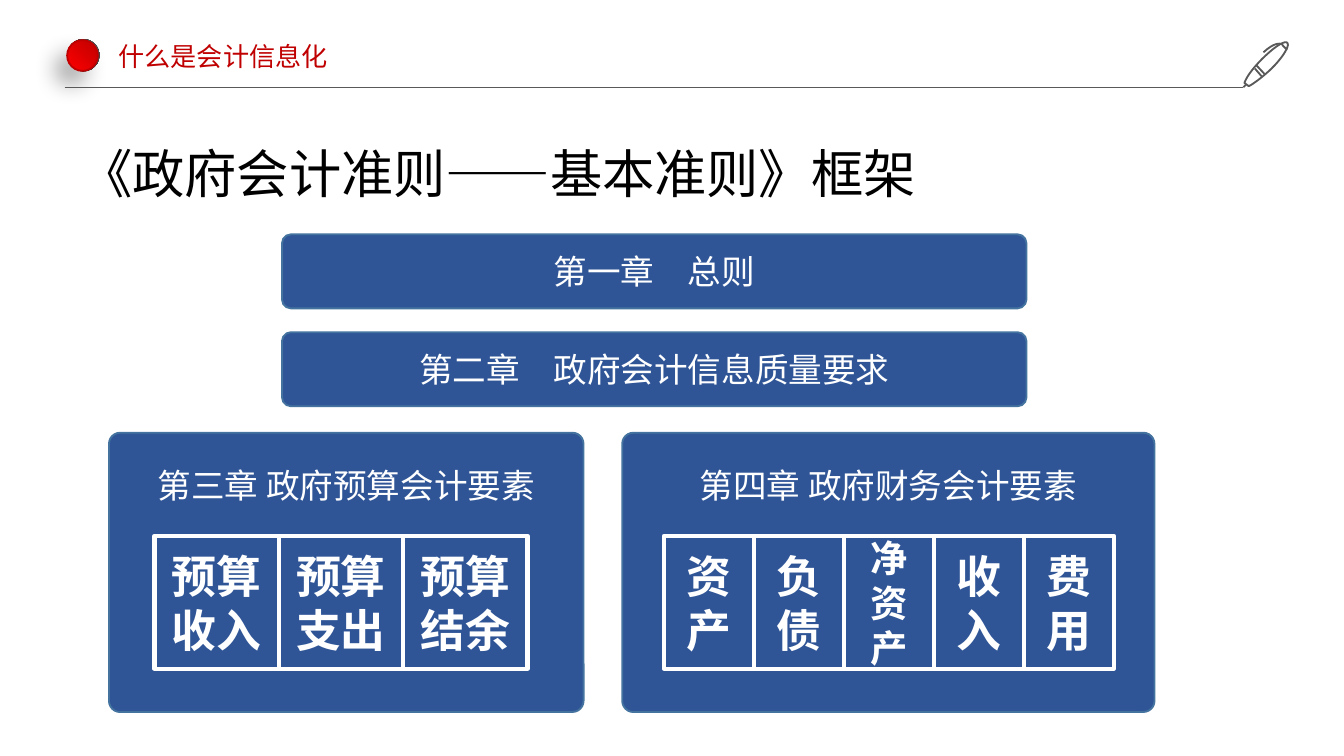
from lxml import etree
from pptx import Presentation
from pptx.dml.color import RGBColor
from pptx.enum.shapes import MSO_CONNECTOR, MSO_SHAPE
from pptx.enum.text import MSO_ANCHOR, PP_ALIGN
from pptx.oxml import parse_xml
from pptx.oxml.ns import qn
from pptx.util import Cm, Pt

ELLIPSE, RECTANGLE = MSO_SHAPE.OVAL, MSO_SHAPE.RECTANGLE
ROUNDED = MSO_SHAPE.ROUNDED_RECTANGLE
STRAIGHT = MSO_CONNECTOR.STRAIGHT
LEFT, CENTER = PP_ALIGN.LEFT, PP_ALIGN.CENTER
TOP, MIDDLE = MSO_ANCHOR.TOP, MSO_ANCHOR.MIDDLE

FONT = "Noto Sans CJK SC"
NAMESPACE = 'xmlns:a="http://schemas.openxmlformats.org/drawingml/2006/main"'
COLORS = {
    "blue": "2F5597", "edge": "43739E", "white": "FFFFFF", "black": "000000",
    "gray": "595959", "dark": "262626", "crimson": "C00000", "red": "FF0000",
}


def write_text(shape, text, size=18, color="white", bold=False, align=CENTER,
               anchor=MIDDLE, wrap=True, top=0.13):
    frame = shape.text_frame
    frame.word_wrap = wrap
    frame.vertical_anchor = anchor
    frame.margin_top = Cm(top)
    paragraph = frame.paragraphs[0]
    paragraph.alignment = align
    run = paragraph.add_run()
    run.text = text
    run.font.name = FONT
    run.font.size = Pt(size)
    run.font.bold = bold
    run.font.color.rgb = RGBColor.from_string(COLORS[color])
    east_asian = etree.SubElement(run.font._element, qn("a:ea"))
    east_asian.set("typeface", FONT)


def add_box(kind, left, top, width, height, line="edge", weight=1, corner=None):
    box = slide.shapes.add_shape(kind, Cm(left), Cm(top), Cm(width), Cm(height))
    box.shadow.inherit = False
    box.fill.solid()
    box.fill.fore_color.rgb = RGBColor.from_string(COLORS["blue"])
    box.line.color.rgb = RGBColor.from_string(COLORS[line])
    box.line.width = Pt(weight)
    if corner is not None:
        box.adjustments[0] = corner
    return box


presentation = Presentation()
presentation.slide_width, presentation.slide_height = Cm(25.4), Cm(14.29)
slide = presentation.slides.add_slide(presentation.slide_layouts[6])

# Header: red button on a shaded disc
button = slide.shapes.add_group_shape()
for left, top, diameter, start, end in (
    (1.27, 0.74, 0.61, "gray", "dark"),
    (1.27, 0.76, 0.58, "crimson", "red"),
):
    disc = button.shapes.add_shape(
        ELLIPSE, Cm(left), Cm(top), Cm(diameter), Cm(diameter))
    disc.shadow.inherit = False
    disc.fill.gradient()
    for stop, color in zip(disc.fill.gradient_stops, (start, end)):
        stop.color.rgb = RGBColor.from_string(COLORS[color])
    linear = disc._element.spPr.find(".//" + qn("a:lin"))
    linear.getparent().replace(linear, parse_xml(
        f'<a:path {NAMESPACE} path="circle">'
        '<a:fillToRect l="100000" b="100000"/></a:path>'))
    if start == "gray":
        disc.line.fill.background()
        disc._element.spPr.find(qn("a:effectLst")).append(parse_xml(
            f'<a:outerShdw {NAMESPACE} blurRad="{Pt(12)}" dist="{Pt(10)}" '
            'dir="7800000" algn="ctr" rotWithShape="0">'
            f'<a:srgbClr val="{COLORS["black"]}"><a:alpha val="32000"/>'
            '</a:srgbClr></a:outerShdw>'))
    else:
        disc.line.color.rgb = RGBColor.from_string(COLORS["crimson"])
        disc.line.width = Pt(1)

header = slide.shapes.add_textbox(Cm(2.06), Cm(0.66), Cm(4.37), Cm(0.79))
header.text_frame.margin_left = header.text_frame.margin_right = Cm(0.18)
write_text(header, "什么是会计信息化", size=14, color="crimson", align=LEFT,
           anchor=TOP, wrap=False, top=0.1)

rule = slide.shapes.add_connector(STRAIGHT, Cm(1.22), Cm(1.66), Cm(23.5), Cm(1.66))
rule.line.color.rgb = RGBColor.from_string(COLORS["gray"])
rule.line.width = Pt(0.5)
etree.SubElement(rule._element.spPr, qn("a:effectLst"))

# Pen: each stroke is a start point followed by cubic curves or straight segments
pen_strokes = [
    [(23.5, 1.65), [(23.55, 1.6)]],
    [(23.85, 1.45), [(23.72, 1.3)]],
    [(23.75, 1.24), [(23.9, 1.4)]],
    [(24.33, 0.81),
     [(24.28, 0.76), (24.08, 0.89), (23.85, 1.12)],
     [(23.67, 1.3), (23.55, 1.47), (23.52, 1.57)],
     [(23.6, 1.63)],
     [(23.67, 1.6), (23.85, 1.47), (24.03, 1.3)],
     [(24.26, 1.07), (24.38, 0.86), (24.33, 0.81)]],
    [(24.33, 0.94),
     [(24.33, 0.94), (24.26, 0.89), (24.23, 0.84)],
     [(24.23, 0.84), (24.13, 0.76), (23.88, 0.99)]],
]
STEPS = 10
pen = None
for start, *segments in pen_strokes:
    points = [start]
    for segment in segments:
        if len(segment) == 1:
            points += segment
            continue
        controls = [points[-1], *segment]
        for step in range(1, STEPS + 1):
            t = step / STEPS
            weights = ((1 - t) ** 3, 3 * t * (1 - t) ** 2, 3 * t * t * (1 - t), t ** 3)
            points.append(tuple(
                sum(weight * point[axis] for weight, point in zip(weights, controls))
                for axis in (0, 1)))
    vertices = [(Cm(x), Cm(y)) for x, y in points]
    if pen is None:
        pen = slide.shapes.build_freeform(*vertices[0])
    else:
        pen.move_to(*vertices[0])
    pen.add_line_segments(vertices[1:], close=False)
pen_shape = pen.convert_to_shape()
pen_shape.shadow.inherit = False
pen_shape.fill.background()
pen_shape.line.color.rgb = RGBColor.from_string(COLORS["gray"])
pen_shape.line.width = Pt(1)

title = slide.shapes.add_textbox(Cm(1.27), Cm(2.54), Cm(19.02), Cm(1.45))
write_text(title, "《政府会计准则——基本准则》框架", size=28, color="black",
           align=LEFT, anchor=TOP)

# Chapters across the full framework
for row, chapter in enumerate(("第一章　总则", "第二章　政府会计信息质量要求")):
    bar = add_box(ROUNDED, 5.33, 4.43 + row * 1.85, 14.07, 1.4, corner=0.12)
    write_text(bar, chapter)

# Chapters with their accounting elements
panels = [
    ("第三章 政府预算会计要素", 2.06, 8.97, 2.92, 2.35,
     ("预算收入", "预算支出", "预算结余")),
    ("第四章 政府财务会计要素", 11.76, 10.06, 12.55, 1.7,
     ("资产", "负债", "净资产", "收入", "费用")),
]
for chapter, left, width, first_cell, pitch, elements in panels:
    panel = add_box(ROUNDED, left, 8.18, width, 5.28, corner=0.04)
    write_text(panel, chapter, anchor=TOP, top=0.55)
    for column, element in enumerate(elements):
        cell = add_box(RECTANGLE, first_cell + column * pitch, 10.13, pitch, 2.51,
                       line="white", weight=2.25)
        write_text(cell, element, size=20 if len(element) == 3 else 24, bold=True)

presentation.save("out.pptx")
